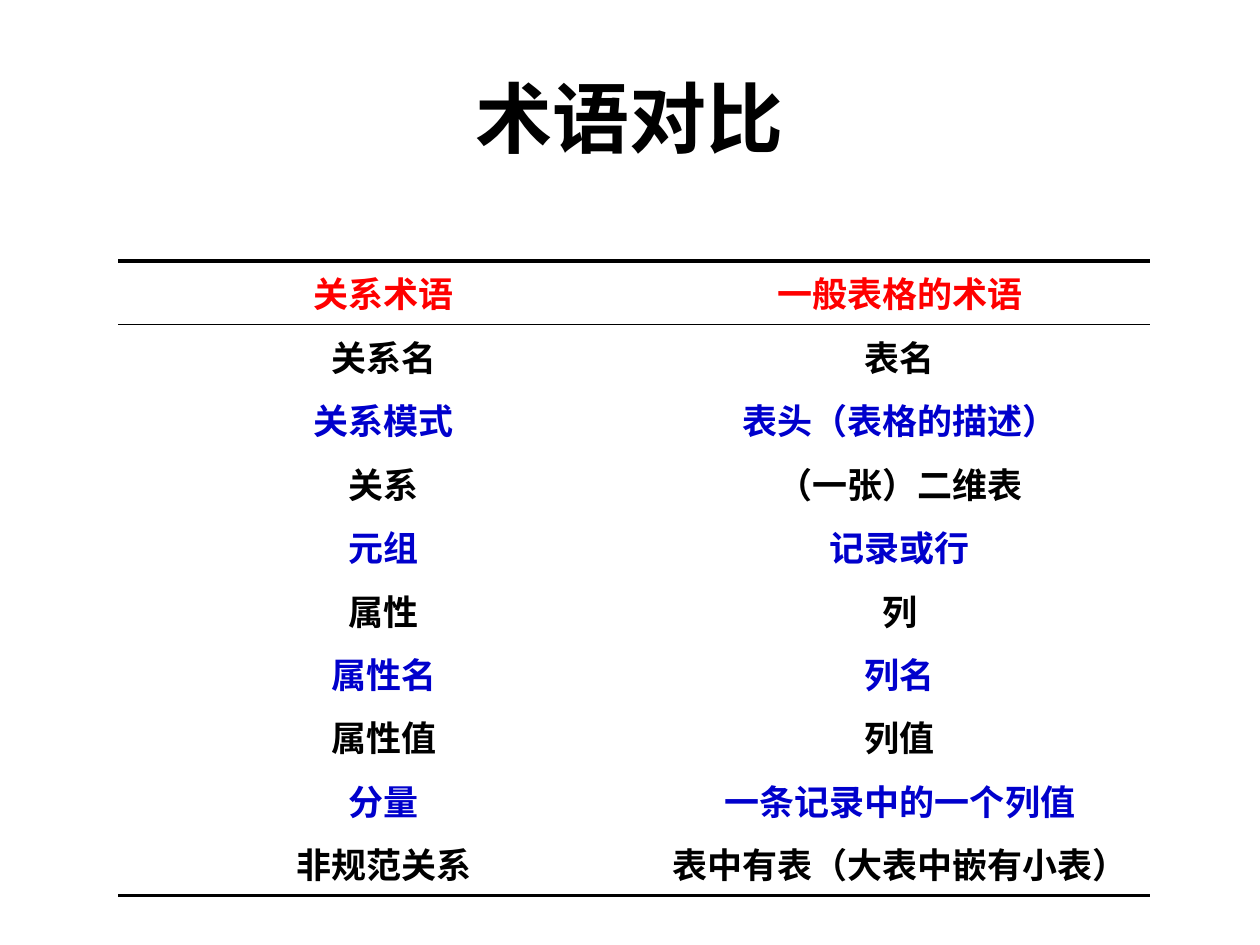
from dataclasses import dataclass
from typing import Optional

from lxml.etree import SubElement
from pptx import Presentation
from pptx.dml.color import RGBColor
from pptx.enum.lang import MSO_LANGUAGE_ID
from pptx.enum.text import MSO_ANCHOR, PP_ALIGN
from pptx.oxml.ns import qn
from pptx.util import Inches, Pt


@dataclass(frozen=True)
class Theme:
    ink: str = "000000"
    header: str = "FF0000"
    accent: str = "0000CC"
    title_font: str = "Arial"
    table_font: str = "Karla"
    title_size: float = 44
    table_size: float = 20
    thick_rule: float = 2.25
    thin_rule: float = 1


@dataclass(frozen=True)
class TermPair:
    relational: str
    tabular: str


@dataclass(frozen=True)
class Box:
    """Position and size as shares of the slide."""
    left: float
    top: float
    width: float
    height: float


THEME = Theme()
SLIDE_WIDTH, SLIDE_HEIGHT = Inches(10), Inches(7.5)
TITLE_BOX = Box(0.05, 0.3 / 7.5, 0.9, 1.25 / 7.5)
TABLE_BOX = Box(0.094, 2.07 / 7.5, 0.819, 4.4 / 7.5)

TERMS = [
    TermPair("关系术语", "一般表格的术语"),
    TermPair("关系名", "表名"),
    TermPair("关系模式", "表头（表格的描述）"),
    TermPair("关系", "（一张）二维表"),
    TermPair("元组", "记录或行"),
    TermPair("属性", "列"),
    TermPair("属性名", "列名"),
    TermPair("属性值", "列值"),
    TermPair("分量", "一条记录中的一个列值"),
    TermPair("非规范关系", "表中有表（大表中嵌有小表）"),
]


def place(box: Box) -> tuple[int, int, int, int]:
    return (round(box.left * SLIDE_WIDTH), round(box.top * SLIDE_HEIGHT),
            round(box.width * SLIDE_WIDTH), round(box.height * SLIDE_HEIGHT))


def write(paragraph, text: str, font_name: str, size: float, color: str) -> None:
    paragraph.alignment = PP_ALIGN.CENTER
    run = paragraph.add_run()
    run.text = text
    font = run.font
    font.name, font.size, font.bold = font_name, Pt(size), True
    font.color.rgb = RGBColor.from_string(color)
    font.language_id = MSO_LANGUAGE_ID.SIMPLIFIED_CHINESE


def set_borders(cell, top: Optional[float], bottom: Optional[float]) -> None:
    properties = cell._tc.get_or_add_tcPr()
    for side, width in (("L", None), ("R", None), ("T", top), ("B", bottom)):
        line = SubElement(properties, qn(f"a:ln{side}"))
        if width is None:
            SubElement(line, qn("a:noFill"))
        else:
            line.set("w", str(Pt(width)))
            fill = SubElement(line, qn("a:solidFill"))
            SubElement(fill, qn("a:srgbClr")).set("val", THEME.ink)


def row_color(row: int) -> str:
    if row == 0:
        return THEME.header
    return THEME.ink if row % 2 else THEME.accent


def add_title(slide, text: str) -> None:
    title = slide.shapes.title
    title.left, title.top, title.width, title.height = place(TITLE_BOX)
    title.text_frame.vertical_anchor = MSO_ANCHOR.MIDDLE
    write(title.text_frame.paragraphs[0], text, THEME.title_font,
          THEME.title_size, THEME.ink)


def add_term_table(slide, terms: list[TermPair]) -> None:
    table = slide.shapes.add_table(len(terms), 2, *place(TABLE_BOX)).table
    table.first_row = table.horz_banding = False

    # Horizontal rules above and below the header, and under the last row
    rules = {0: THEME.thick_rule, 1: THEME.thin_rule, len(terms): THEME.thick_rule}
    for row, pair in enumerate(terms):
        for column, term in enumerate((pair.relational, pair.tabular)):
            cell = table.cell(row, column)
            set_borders(cell, rules.get(row), rules.get(row + 1))
            cell.fill.background()
            paragraph = cell.text_frame.paragraphs[0]
            paragraph.space_before = Pt(4)
            paragraph._p.get_or_add_pPr().set("marL", str(Inches(0.12)))
            write(paragraph, term, THEME.table_font, THEME.table_size, row_color(row))


def main() -> None:
    presentation = Presentation()
    presentation.slide_width, presentation.slide_height = SLIDE_WIDTH, SLIDE_HEIGHT
    slide = presentation.slides.add_slide(
        presentation.slide_layouts.get_by_name("Title Only"))
    add_title(slide, "术语对比")
    add_term_table(slide, TERMS)
    presentation.save("out.pptx")


if __name__ == "__main__":
    main()
